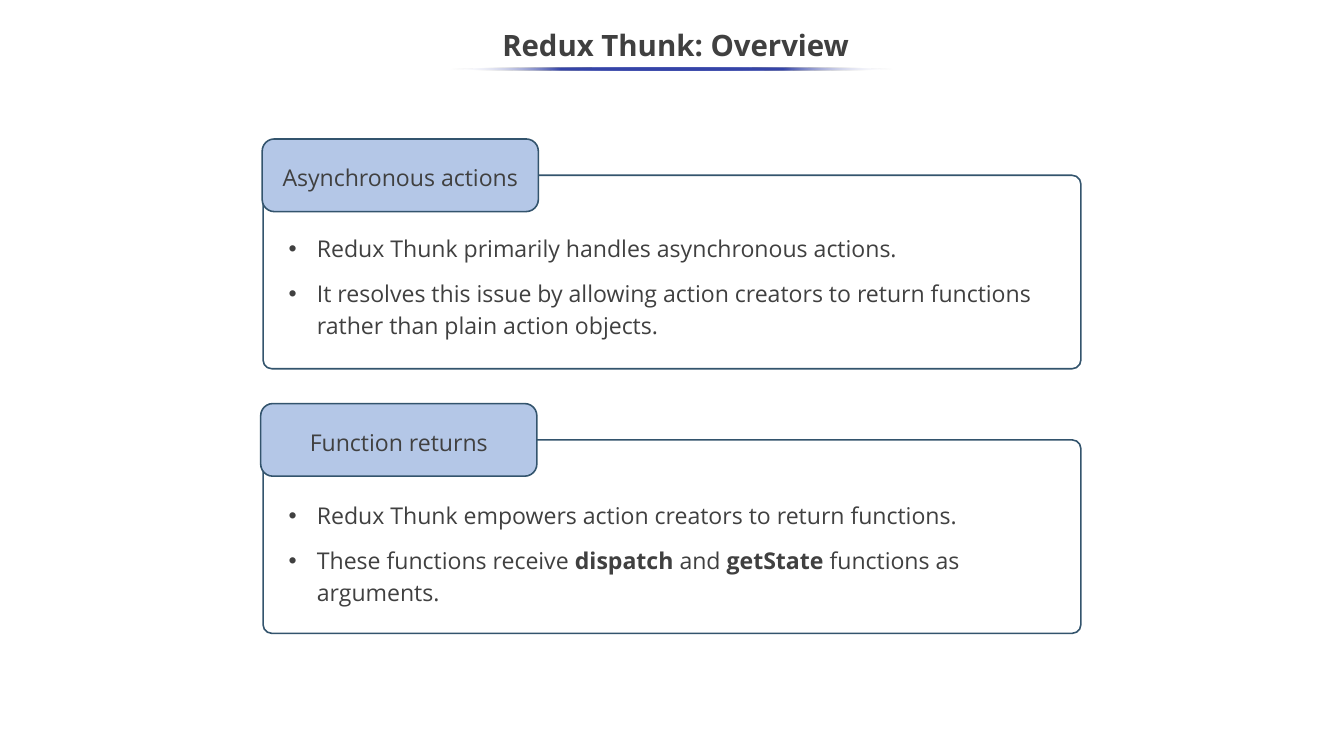
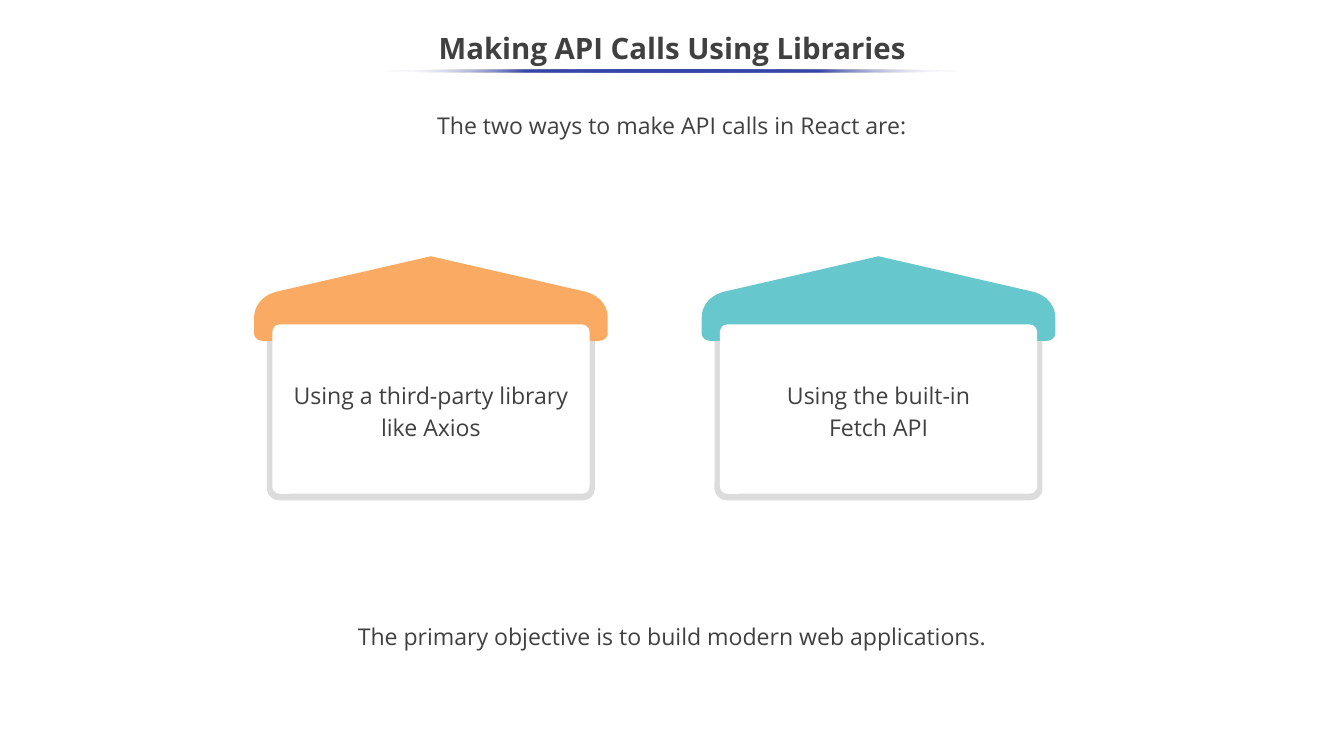
"""Builds two slides on asynchronous actions and API calls in web applications."""
from lxml import etree
from pptx import Presentation
from pptx.dml.color import RGBColor
from pptx.enum.shapes import MSO_SHAPE
from pptx.enum.text import MSO_ANCHOR, PP_ALIGN
from pptx.oxml.ns import qn
from pptx.util import Cm, Pt

ROUNDED, OVAL = MSO_SHAPE.ROUNDED_RECTANGLE, MSO_SHAPE.OVAL
LEFT, CENTER = PP_ALIGN.LEFT, PP_ALIGN.CENTER
TOP, MIDDLE = MSO_ANCHOR.TOP, MSO_ANCHOR.MIDDLE

FONT = "Open Sans"
INK, NAVY, TAG_BLUE = "404040", "33546D", "B4C7E7"
WHITE, GRAY, RULE_BLUE = "FFFFFF", "DDDCDC", "3645A9"
RULE_STOPS = [(0, WHITE, 0), (25, RULE_BLUE, 100), (50, RULE_BLUE, 100),
              (75, RULE_BLUE, 100), (100, WHITE, 0)]
SLIDE_WIDTH, SLIDE_HEIGHT = 45.16, 25.4

OVERVIEW = {
    "title": "Redux Thunk: Overview", "title_box": (0.12, 0.64, SLIDE_WIDTH, 1.9),
    "spacing": 0.9, "rule": (15.14, 2.26, 14.88, 0.1),
}
PANELS = [
    {"tag": "Asynchronous actions", "tag_left": 8.81, "text_top": 7.21, "bullets": [
        "Redux Thunk primarily handles asynchronous actions.",
        "It resolves this issue by allowing action creators to return functions "
        "rather than plain action objects."]},
    {"tag": "Function returns", "tag_left": 8.76, "text_top": 16.18, "bullets": [
        "Redux Thunk empowers action creators to return functions.",
        "These functions receive **dispatch** and **getState** functions as arguments."]},
]
PANEL_TOP, PANEL_STEP = 5.89, 8.89

LIBRARIES = {
    "title": "Making API Calls Using Libraries", "title_box": (0, 0.58, SLIDE_WIDTH, 1.9),
    "spacing": 1.15, "rule": (12.78, 2.34, 19.61, 0.1),
}
INTRO = "The two ways to make API calls in React are:"
CLOSING = "The primary objective is to build modern web applications."
HOUSES = [
    (["Using a third-party library", "like Axios"], "FAAA62"),
    (["Using the built-in", "Fetch API"], "66C8CC"),
]
HOUSE_CENTER, HOUSE_STEP, HOUSE_TOP = 14.48, 15.04, 8.61
EAVE_CURVE = [(5.18, 1.19), (5.64, 1.3), (5.94, 1.65), (5.94, 2.06)]
FOOT_CURVE = [(5.94, 2.59), (5.94, 2.72), (5.82, 2.84), (5.66, 2.84)]


def color(value):
    return RGBColor.from_string(value)


def style(shape, fill=None, line=None):
    shape.shadow.inherit = False
    if fill:
        shape.fill.solid()
        shape.fill.fore_color.rgb = color(fill)
    else:
        shape.fill.background()
    if line:
        shape.line.color.rgb = color(line)
        shape.line.width = Pt(1.5)
    else:
        shape.line.fill.background()


def add_block(slide, kind, box, fill=None, line=None, radius=None):
    shape = slide.shapes.add_shape(kind, *map(Cm, box))
    style(shape, fill, line)
    if radius is not None:
        shape.adjustments[0] = radius
    return shape


def add_bullet(paragraph):
    properties = paragraph._p.get_or_add_pPr()
    properties.set("marL", str(Cm(0.95)))
    properties.set("indent", str(Cm(-0.95)))
    etree.SubElement(properties, qn("a:buFont"), typeface="Arial")
    etree.SubElement(properties, qn("a:buChar"), char="•")


def write(shape, lines, size=22, bold=False, align=CENTER, anchor=MIDDLE,
          spacing=1.15, gap=0, bullets=False):
    frame = shape.text_frame
    settings = {"word_wrap": True, "vertical_anchor": anchor,
                "margin_left": Cm(0.25), "margin_right": Cm(0.25),
                "margin_top": Cm(0.13), "margin_bottom": Cm(0.13)}
    for name, value in settings.items():
        setattr(frame, name, value)
    for index, line in enumerate(lines):
        paragraph = frame.add_paragraph() if index else frame.paragraphs[0]
        paragraph.alignment, paragraph.line_spacing = align, spacing
        if index:
            paragraph.space_before = Pt(gap)
        if bullets:
            add_bullet(paragraph)
        for part, text in enumerate(line.split("**")):
            run = paragraph.add_run()
            run.text = text
            run.font.color.rgb = color(INK)
            font = {"name": FONT, "size": Pt(size), "bold": bold or part % 2 == 1}
            for name, value in font.items():
                setattr(run.font, name, value)


def add_text(slide, box, lines, **options):
    write(slide.shapes.add_textbox(*map(Cm, box)), lines, **options)


def add_rule(slide, box):
    rule = add_block(slide, OVAL, box)
    rule.fill.gradient()
    rule.fill.gradient_angle = 180
    stops = rule._element.spPr.find(".//" + qn("a:gsLst"))
    for stop in list(stops):
        stops.remove(stop)
    for position, value, opacity in RULE_STOPS:
        stop = etree.SubElement(stops, qn("a:gs"), pos=str(position * 1000))
        shade = etree.SubElement(stop, qn("a:srgbClr"), val=value)
        etree.SubElement(shade, qn("a:alpha"), val=str(opacity * 1000))


def add_titled_slide(presentation, heading):
    slide = presentation.slides.add_slide(presentation.slide_layouts[6])
    add_text(slide, heading["title_box"], [heading["title"]], size=28, bold=True,
             spacing=heading["spacing"])
    add_rule(slide, heading["rule"])
    return slide


def add_panel(slide, top, panel):
    add_block(slide, ROUNDED, (8.84, top, 27.48, 6.5), line=NAVY, radius=0.045)
    tag = add_block(slide, ROUNDED, (panel["tag_left"], top - 1.22, 9.28, 2.44),
                    TAG_BLUE, NAVY, 0.167)
    write(tag, [panel["tag"]])
    add_text(slide, (9.45, panel["text_top"], 26.34, 4.7), panel["bullets"],
             align=LEFT, gap=12.5, bullets=True)


def curve(controls, steps=10):
    points = []
    for step in range(steps + 1):
        t = step / steps
        weights = ((1 - t) ** 3, 3 * t * (1 - t) ** 2, 3 * t ** 2 * (1 - t), t ** 3)
        points.append(tuple(sum(weight * control[axis] for weight, control in zip(weights, controls))
                            for axis in (0, 1)))
    return points


def add_roof(slide, center, fill):
    right = curve(EAVE_CURVE) + curve(FOOT_CURVE)
    left = [(-x, y) for x, y in reversed(right)]
    points = [(Cm(center + x), Cm(HOUSE_TOP + y)) for x, y in right + left]
    builder = slide.shapes.build_freeform(Cm(center), Cm(HOUSE_TOP))
    builder.add_line_segments(points, close=True)
    style(builder.convert_to_shape(), fill)


def add_house(slide, center, lines, fill):
    add_block(slide, ROUNDED, (center - 5.51, 10.69, 11.02, 6.12), GRAY, radius=0.066)
    add_roof(slide, center, fill)
    wall = add_block(slide, ROUNDED, (center - 5.33, 10.9, 10.66, 5.69), WHITE, radius=0.044)
    write(wall, lines, spacing=1.14)


def main():
    presentation = Presentation()
    presentation.slide_width, presentation.slide_height = Cm(SLIDE_WIDTH), Cm(SLIDE_HEIGHT)

    slide = add_titled_slide(presentation, OVERVIEW)
    for index, panel in enumerate(PANELS):
        add_panel(slide, PANEL_TOP + index * PANEL_STEP, panel)

    slide = add_titled_slide(presentation, LIBRARIES)
    add_text(slide, (10.41, 3.48, 24.33, 1.35), [INTRO], anchor=TOP)
    for index, (lines, fill) in enumerate(HOUSES):
        add_house(slide, HOUSE_CENTER + index * HOUSE_STEP, lines, fill)
    add_text(slide, (6.73, 20.78, 31.7, 1.19), [CLOSING], anchor=TOP, spacing=1.0)

    presentation.save("out.pptx")


if __name__ == "__main__":
    main()
